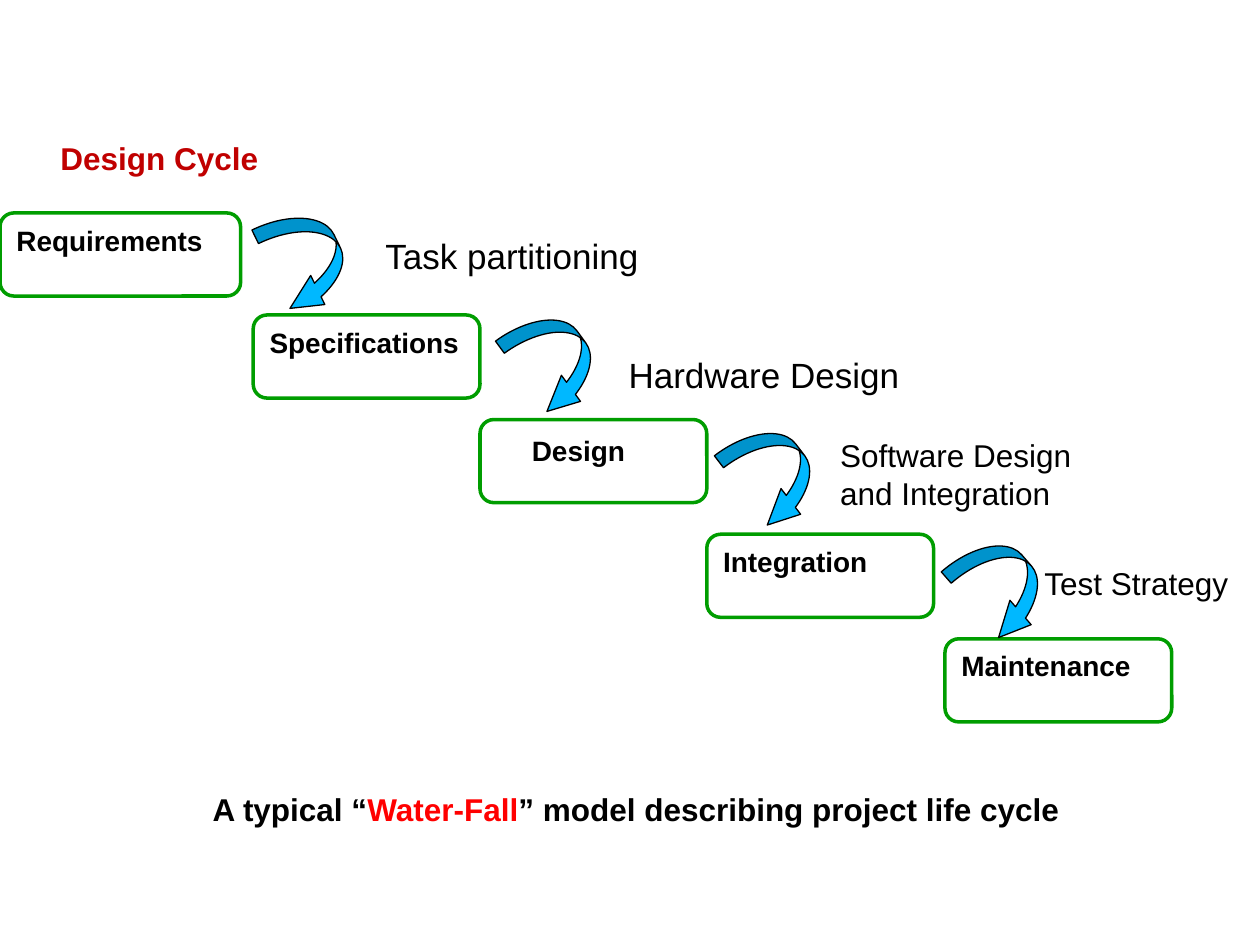
from pptx import Presentation
from pptx.dml.color import RGBColor
from pptx.enum.shapes import MSO_SHAPE
from pptx.enum.text import MSO_ANCHOR, PP_ALIGN
from pptx.util import Inches, Pt


def color(hex_string):
    return RGBColor.from_string(hex_string)


def write(shape, lines, size, bold=False, wrap=True):
    """Fill the shape with lines, each a list of (text, colour) runs."""
    frame = shape.text_frame
    frame.word_wrap = wrap
    frame.vertical_anchor = MSO_ANCHOR.TOP
    for index, runs in enumerate(lines):
        paragraph = frame.paragraphs[0] if index == 0 else frame.add_paragraph()
        paragraph.alignment = PP_ALIGN.LEFT
        for text, run_color in runs:
            run = paragraph.add_run()
            run.text = text
            run.font.name = "Arial"
            run.font.size = Pt(size)
            run.font.bold = bold
            run.font.color.rgb = color(run_color)


BLACK = "000000"

presentation = Presentation()
presentation.slide_width = Inches(10)
presentation.slide_height = Inches(7.5)
slide = presentation.slides.add_slide(presentation.slide_layouts[5])

title = slide.shapes.title
title.left, title.top = Inches(0.38), Inches(1.05)
title.width, title.height = Inches(1.77), Inches(0.4)
write(title, [[("Design Cycle", "C00000")]], 18, bold=True, wrap=False)

# Phases: name, left, top, width
phases = [
    ("Requirements", 0, 1.69, 1.91),
    ("Specifications", 2.01, 2.5, 1.8),
    ("Design", 3.81, 3.33, 1.8),
    ("Integration", 5.61, 4.24, 1.8),
    ("Maintenance", 7.5, 5.07, 1.8),
]
for name, left, top, width in phases:
    phase = slide.shapes.add_shape(
        MSO_SHAPE.ROUNDED_RECTANGLE,
        Inches(left), Inches(top), Inches(width), Inches(0.66))
    phase.shadow.inherit = False
    phase.fill.solid()
    phase.fill.fore_color.rgb = color("FFFFFF")
    phase.line.color.rgb = color("009D00")
    phase.line.width = Pt(2)
    if name == "Design":
        phase.text_frame.margin_left = Inches(0.38)
        phase.text_frame.margin_top = Inches(0.08)
    write(phase, [[(name, BLACK)]], 16, bold=True)

# Arrows between phases: left, top, rotation
arrows = [
    (2.15, 1.66, 334.1),
    (4.12, 2.46, 323.8),
    (5.86, 3.36, 322.6),
    (7.67, 4.25, 318.9),
]
for left, top, rotation in arrows:
    arrow = slide.shapes.add_shape(
        MSO_SHAPE.CURVED_LEFT_ARROW,
        Inches(left), Inches(top), Inches(0.57), Inches(0.82))
    # Band thickness, head width and head length
    for index, value in enumerate((0.21, 0.45, 0.46)):
        arrow.adjustments[index] = value
    arrow.rotation = rotation
    arrow.shadow.inherit = False
    arrow.fill.solid()
    arrow.fill.fore_color.rgb = color("00B8FF")
    arrow.line.color.rgb = color(BLACK)
    arrow.line.width = Pt(0.75)

# Step labels: lines, left, top, width, height, size, wrap
labels = [
    (["Task partitioning"], 2.96, 1.81, 2.44, 0.44, 20, True),
    (["Hardware Design"], 4.89, 2.76, 2.35, 0.44, 20, False),
    (["Software Design", "and Integration"], 6.57, 3.41, 2.1, 0.7, 18, False),
    (["Test Strategy"], 8.19, 4.43, 1.68, 0.4, 18, False),
]
for lines, left, top, width, height, size, wrap in labels:
    label = slide.shapes.add_textbox(
        Inches(left), Inches(top), Inches(width), Inches(height))
    write(label, [[(line, BLACK)] for line in lines], size, wrap=wrap)

caption = slide.shapes.add_textbox(
    Inches(1.59), Inches(6.22), Inches(7.27), Inches(0.4))
write(caption, [[
    ("A typical “", BLACK),
    ("Water-Fall", "FF0000"),
    ("” model describing project life cycle", BLACK),
]], 18, bold=True)

presentation.save("out.pptx")
